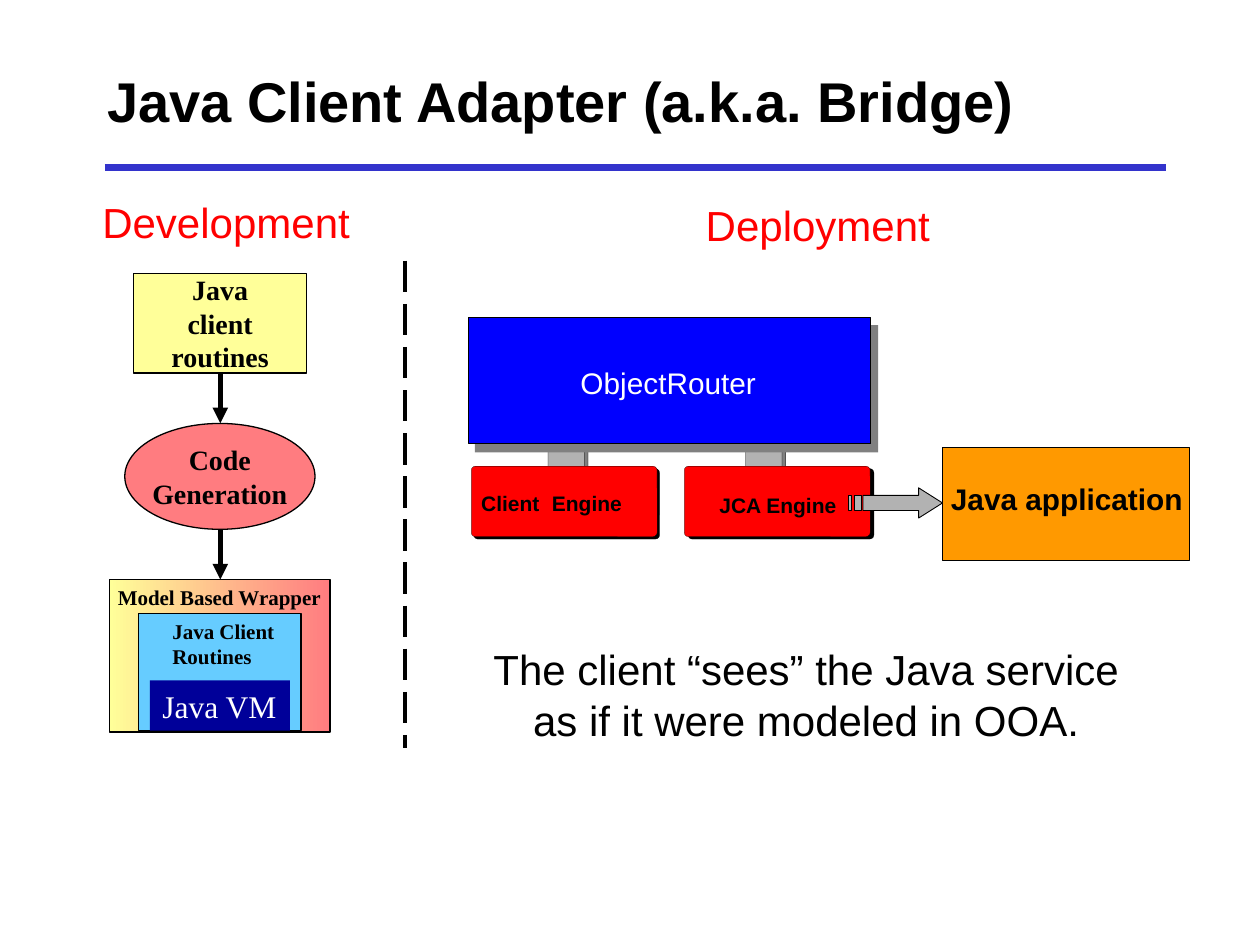
from lxml import etree
from pptx import Presentation
from pptx.dml.color import RGBColor
from pptx.enum.dml import MSO_LINE
from pptx.enum.shapes import MSO_CONNECTOR, MSO_SHAPE
from pptx.enum.text import MSO_ANCHOR, MSO_AUTO_SIZE, PP_ALIGN
from pptx.oxml.ns import qn
from pptx.util import Pt

RECT, OVAL = MSO_SHAPE.RECTANGLE, MSO_SHAPE.OVAL
ROUNDED = MSO_SHAPE.ROUNDED_RECTANGLE
UP_ARROW, RIGHT_ARROW = MSO_SHAPE.UP_ARROW, MSO_SHAPE.RIGHT_ARROW
LEFT, CENTER = PP_ALIGN.LEFT, PP_ALIGN.CENTER
MIDDLE = MSO_ANCHOR.MIDDLE
SANS, SERIF = "Arial", "Times New Roman"
BLACK, WHITE, RED = "000000", "FFFFFF", "FF0000"
YELLOW, PINK, GRAY, SILVER = "FFFF99", "FF7C80", "808080", "B2B2B2"
HAIRLINE = 0.11


def rgb(color):
    return RGBColor.from_string(color)


def write(s, text, size, font, color=BLACK, bold=False, align=LEFT, inset=True):
    tf = s.text_frame
    tf.text = text
    tf.word_wrap = False
    tf.margin_left = tf.margin_right = Pt(7.2 if inset else 0)
    tf.margin_top = tf.margin_bottom = Pt(3.6 if inset else 0)
    for p in tf.paragraphs:
        p.alignment = align
        for r in p.runs:
            r.font.size, r.font.name, r.font.bold = Pt(size), font, bold
            r.font.color.rgb = rgb(color)


def add_text(slide, box, text, size, font, **style):
    s = slide.shapes.add_textbox(*map(Pt, box))
    write(s, text, size, font, **style)
    s.text_frame.auto_size = MSO_AUTO_SIZE.SHAPE_TO_FIT_TEXT


def add_box(slide, kind, box, fill, line=None, adjust=()):
    s = slide.shapes.add_shape(kind, *map(Pt, box))
    s.shadow.inherit = False
    s.fill.solid()
    s.fill.fore_color.rgb = rgb(fill)
    if line is None:
        s.line.fill.background()
    else:
        s.line.color.rgb = rgb(BLACK)
        s.line.width = Pt(line)
    for i, value in enumerate(adjust):
        s.adjustments[i] = value
    return s


def add_line(slide, ends, width, color=BLACK, dash=None, arrow=False):
    s = slide.shapes.add_connector(MSO_CONNECTOR.STRAIGHT, *map(Pt, ends))
    s.line.color.rgb = rgb(color)
    s.line.width = Pt(width)
    if dash:
        s.line.dash_style = dash
    if arrow:
        etree.SubElement(s.line._get_or_add_ln(), qn("a:tailEnd"), type="triangle")
    etree.SubElement(s._element.spPr, qn("a:effectLst"))


def add_title(slide, text):
    s = slide.shapes.title
    s.left, s.top, s.width, s.height = map(Pt, (54, 24, 612, 66))
    write(s, text, 32, SANS, bold=True)
    s.text_frame.word_wrap = True
    s.text_frame.vertical_anchor = MIDDLE
    add_line(slide, (60, 96, 666, 96), 4, "3333CC")


def add_step(slide, kind, box, fill, text):
    s = add_box(slide, kind, box, fill, 0.75)
    write(s, text, 16, SERIF, bold=True, align=CENTER)
    s.text_frame.vertical_anchor = MIDDLE


def add_development(slide):
    add_text(slide, (51.4, 108.7, 160, 36), "Development", 24, SANS, color=RED)

    # Process steps
    add_step(slide, OVAL, (71.3, 242, 108.7, 60.5), PINK, "Code\nGeneration")
    add_step(slide, RECT, (76.5, 156.2, 98.6, 57), YELLOW, "Java\nclient\nroutines")
    for top in (213.8, 303.1):
        add_line(slide, (125.9, top, 125.9, top + 28.1), 3, arrow=True)

    # Nested wrapper
    wrapper = add_box(slide, RECT, (62.6, 331.2, 126, 87.1), YELLOW, 0.75)
    wrapper.fill.gradient()
    wrapper.fill.gradient_angle = 0
    for stop, color in zip(wrapper.fill.gradient_stops, (YELLOW, PINK)):
        stop.color.rgb = rgb(color)
    add_box(slide, RECT, (79.2, 350.6, 92.9, 67), "66CCFF", 0.75)
    add_text(slide, (60.2, 330.5, 134, 21.6), "Model Based Wrapper", 12, SERIF, bold=True)
    add_text(slide, (91.4, 349.9, 76, 36), "Java Client\nRoutines", 12, SERIF, bold=True)
    vm = add_box(slide, RECT, (85.7, 388.8, 79.9, 28.8), "000099")
    write(vm, "Java VM", 18, SERIF, color=WHITE)


def add_engine(slide, left, shadow_shift):
    for x, y, fill in ((left + shadow_shift, 267.8, BLACK), (left, 266.4, RED)):
        add_box(slide, ROUNDED, (x, y, 106.2, 40.3), fill, HAIRLINE, (0.06,))


def add_deployment(slide):
    add_text(slide, (396.2, 110.2, 147, 36), "Deployment", 24, SANS, color=RED)

    # Plugs between the engines and the switch
    for left, top in ((415.4, 236.4), (302.4, 239)):
        for shift, fill in ((2.2, GRAY), (0, SILVER)):
            add_box(slide, UP_ARROW, (left + shift, top + shift, 42.2, 33.1),
                    fill, HAIRLINE, (0.49, 0.24))

    # Engines
    add_engine(slide, 269.3, 1.4)
    add_engine(slide, 391, 2.2)
    for left, top, width, text in ((275, 280.1, 43.2, "Client"),
                                   (315.4, 280.1, 64.1, "Engine"),
                                   (411.1, 281.5, 72, "JCA Engine")):
        add_text(slide, (left, top, width, 14.4), text, 12, SANS, bold=True, inset=False)

    # Application
    add_box(slide, RECT, (538.4, 255.6, 141, 64.6), "FF9900", HAIRLINE)
    add_text(slide, (543.4, 275, 138, 20.2), "Java application", 17, SANS,
             bold=True, inset=False)

    # Switch with its drop shadow
    add_box(slide, RECT, (271.4, 185.8, 230.4, 72.7), GRAY)
    add_box(slide, RECT, (267.8, 181.4, 229.7, 72.3), "0000FF", 0.5)
    add_text(slide, (331.7, 208.6, 110, 20.2), "ObjectRouter", 17, SANS,
             color=WHITE, inset=False)

    # Striped arrow to the application
    add_box(slide, RIGHT_ARROW, (493.2, 278.8, 45.4, 17.3), SILVER, 0.5, (0.5, 0.79))
    for left, width in ((488.5, 3.6), (485.1, 1.4)):
        add_box(slide, RECT, (left, 283.2, width, 8.6), SILVER, 0.5)

    add_text(slide, (265.7, 364.3, 390, 64.8),
             "The client “sees” the Java service\nas if it were modeled in OOA.",
             24, SANS, align=CENTER)


def main():
    prs = Presentation()
    prs.slide_width, prs.slide_height = Pt(720), Pt(540)
    slide = prs.slides.add_slide(prs.slide_layouts[5])
    add_title(slide, "Java Client Adapter (a.k.a. Bridge)")
    add_line(slide, (231.3, 149, 231.3, 427.7), 2.25, dash=MSO_LINE.LONG_DASH)
    add_development(slide)
    add_deployment(slide)
    prs.save("out.pptx")


if __name__ == "__main__":
    main()
